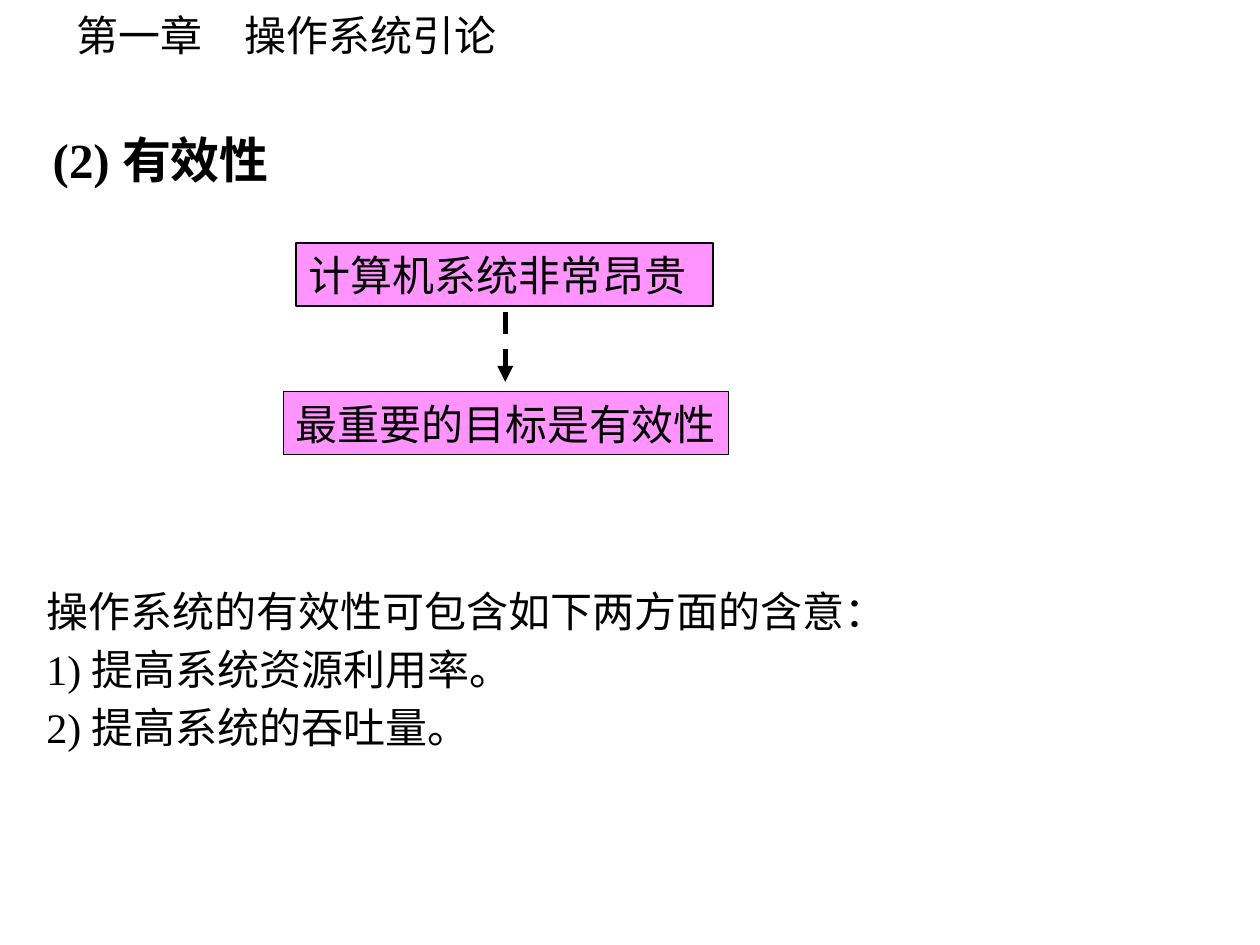
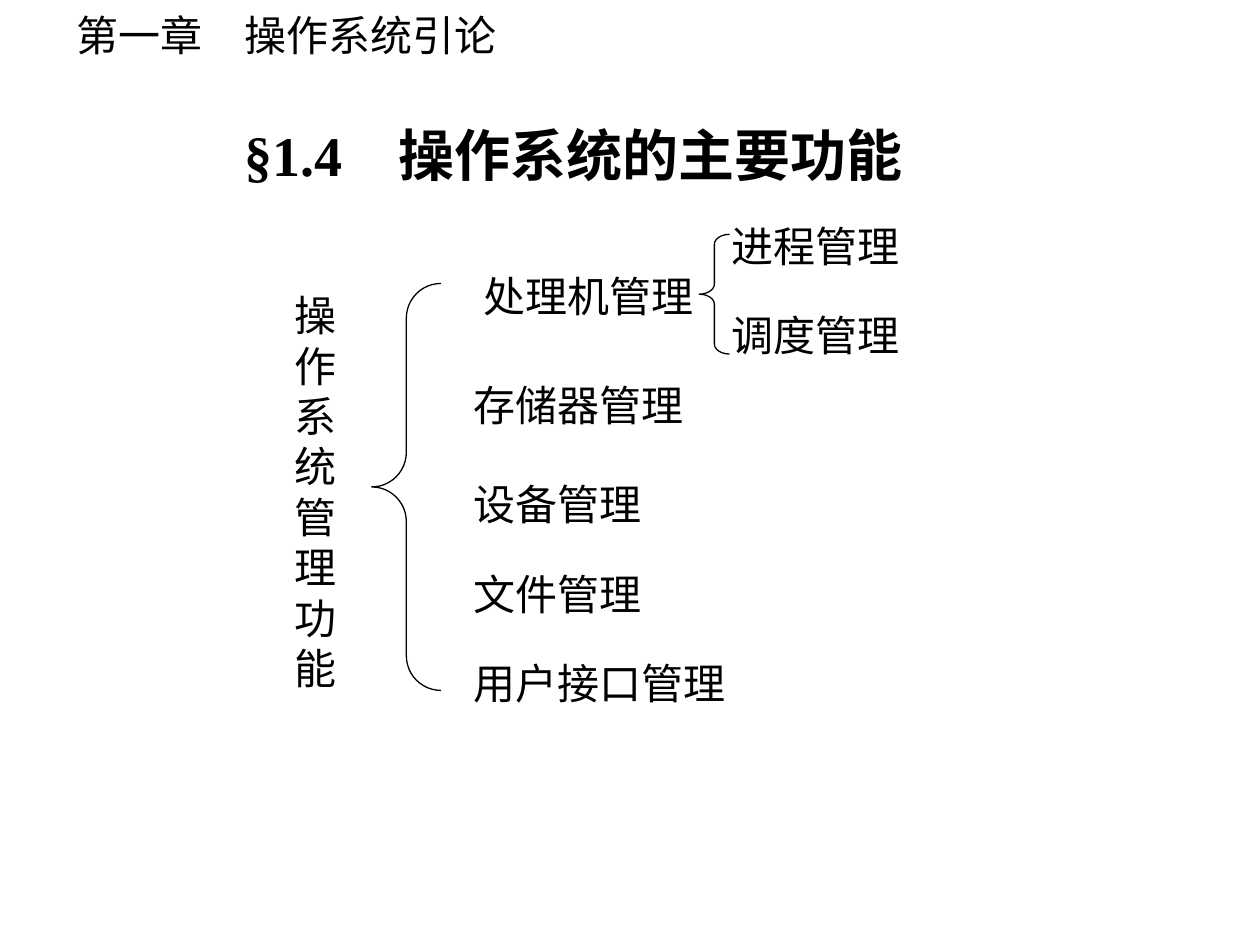
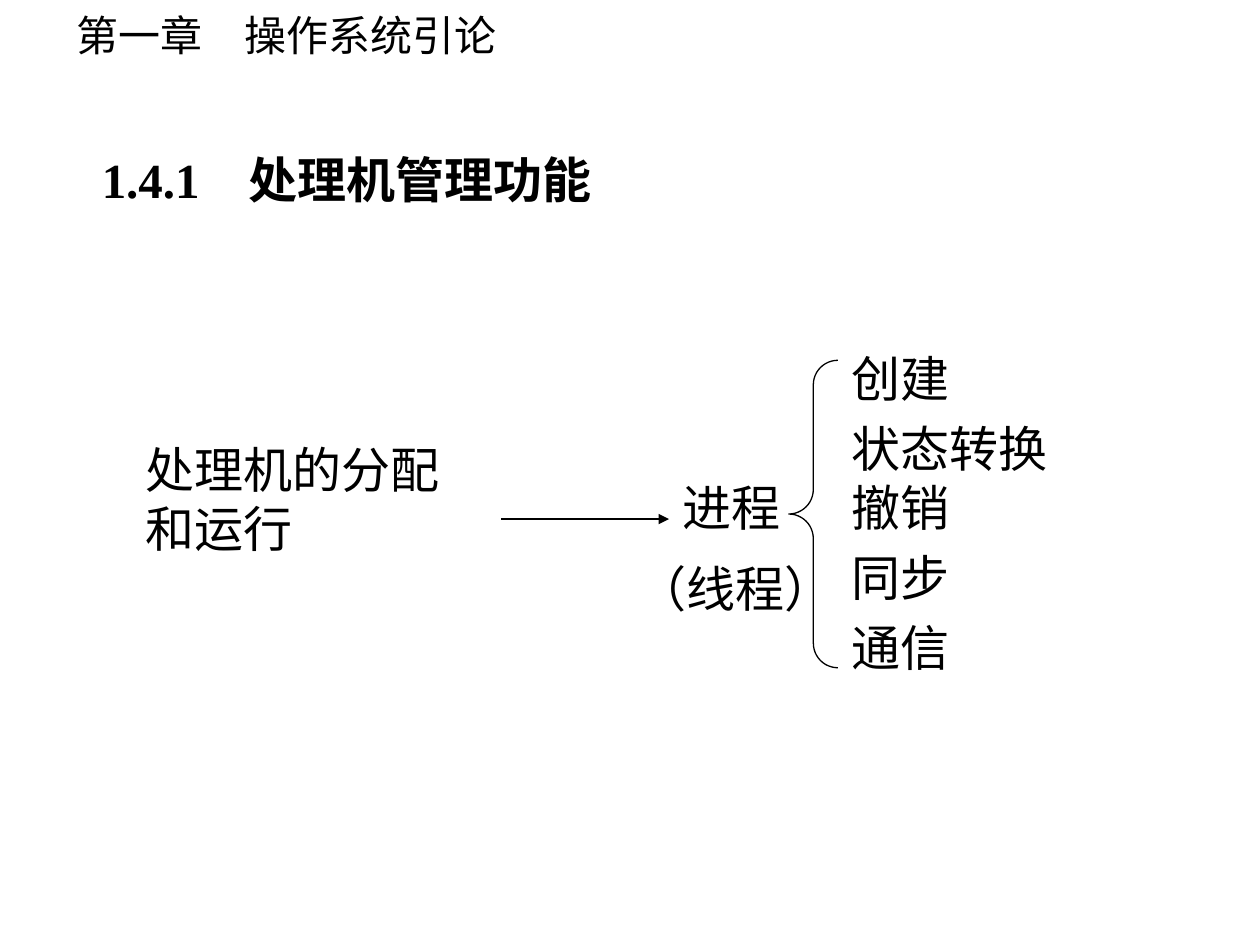
from dataclasses import dataclass

from lxml.etree import SubElement
from pptx import Presentation
from pptx.dml.color import RGBColor
from pptx.enum.dml import MSO_LINE_DASH_STYLE as Dash
from pptx.enum.shapes import MSO_CONNECTOR as Connector
from pptx.enum.shapes import MSO_SHAPE as Preset
from pptx.enum.text import MSO_ANCHOR as Anchor
from pptx.enum.text import MSO_AUTO_SIZE as AutoSize
from pptx.enum.text import PP_ALIGN as Align
from pptx.oxml.ns import qn
from pptx.presentation import Presentation as Deck
from pptx.shapes.base import BaseShape
from pptx.slide import Slide
from pptx.util import Inches, Pt

# Shared style
BLACK = RGBColor(0x00, 0x00, 0x00)
MAGENTA = RGBColor(0xFF, 0x00, 0xFF)
LATIN_FONT = "Times New Roman"
CHINESE_FONT = "Noto Sans CJK SC"
THIN_LINE = 0.75
BOX_OPACITY = 42
BLANK_LAYOUT = 6


@dataclass(frozen=True)
class Label:
    text: str
    left: float
    top: float
    width: float
    height: float = 0.5
    size: int = 24
    bold: bool = False
    wrap: bool = False
    line_spacing: float = 1.0
    font: str = LATIN_FONT


@dataclass(frozen=True)
class Brace:
    left: float
    top: float
    width: float
    height: float
    curve: float = 0.5


@dataclass(frozen=True)
class Arrow:
    start: tuple[float, float]
    end: tuple[float, float]
    width: float = THIN_LINE
    dashed: bool = False


CHAPTER = Label("第一章　操作系统引论", 0.51, 0.03, 3.61, font=CHINESE_FONT)


def write_text(shape: BaseShape, label: Label) -> None:
    frame = shape.text_frame
    frame.text = label.text
    frame.word_wrap = label.wrap
    frame.auto_size = AutoSize.SHAPE_TO_FIT_TEXT
    frame.vertical_anchor = Anchor.TOP
    for paragraph in frame.paragraphs:
        paragraph.alignment = Align.LEFT
        paragraph.line_spacing = label.line_spacing
        for run in paragraph.runs:
            run.font.size = Pt(label.size)
            run.font.bold = label.bold
            run.font.color.rgb = BLACK
            run.font.name = label.font
            SubElement(run.font._element, qn("a:ea"), typeface=CHINESE_FONT)


def bounds(item: Label | Brace) -> tuple[int, int, int, int]:
    return Inches(item.left), Inches(item.top), Inches(item.width), Inches(item.height)


def add_label(slide: Slide, label: Label) -> None:
    write_text(slide.shapes.add_textbox(*bounds(label)), label)


def add_outlined(slide: Slide, preset: Preset, item: Label | Brace) -> BaseShape:
    shape = slide.shapes.add_shape(preset, *bounds(item))
    shape.shadow.inherit = False
    shape.line.color.rgb = BLACK
    shape.line.width = Pt(THIN_LINE)
    return shape


def add_box(slide: Slide, label: Label) -> None:
    shape = add_outlined(slide, Preset.RECTANGLE, label)
    shape.fill.solid()
    shape.fill.fore_color.rgb = MAGENTA
    color = shape._element.spPr.find(qn("a:solidFill")).find(qn("a:srgbClr"))
    SubElement(color, qn("a:alpha"), val=str(BOX_OPACITY * 1000))
    write_text(shape, label)


def add_brace(slide: Slide, brace: Brace) -> None:
    shape = add_outlined(slide, Preset.LEFT_BRACE, brace)
    shape.fill.background()
    shape.adjustments[0] = brace.curve


def add_arrow(slide: Slide, arrow: Arrow) -> None:
    points = [Inches(value) for value in arrow.start + arrow.end]
    connector = slide.shapes.add_connector(Connector.STRAIGHT, *points)
    connector.line.color.rgb = BLACK
    connector.line.width = Pt(arrow.width)
    if arrow.dashed:
        connector.line.dash_style = Dash.DASH
    SubElement(connector.line._get_or_add_ln(), qn("a:tailEnd"), type="triangle")
    SubElement(connector._element.spPr, qn("a:effectLst"))


def add_slide(presentation: Deck, title: Label) -> Slide:
    slide = presentation.slides.add_slide(presentation.slide_layouts[BLANK_LAYOUT])
    add_label(slide, CHAPTER)
    add_label(slide, title)
    return slide


def build_effectiveness(presentation: Deck) -> None:
    title = Label("(2) 有效性", 0.32, 0.91, 2.01, 0.64, 28, bold=True, line_spacing=1.15)
    slide = add_slide(presentation, title)
    add_box(slide, Label("计算机系统非常昂贵", 2.35, 1.93, 3.31, wrap=True))
    add_box(slide, Label("最重要的目标是有效性", 2.25, 3.11, 3.53))
    add_arrow(slide, Arrow((4.01, 2.48), (4.01, 3.03), width=3, dashed=True))
    meanings = (
        "操作系统的有效性可包含如下两方面的含意：\n"
        "1) 提高系统资源利用率。\n"
        "2) 提高系统的吞吐量。"
    )
    add_label(slide, Label(meanings, 0.27, 4.54, 9.17, 1.48, wrap=True, line_spacing=1.15))


def build_main_functions(presentation: Deck) -> None:
    title = Label("§1.4　操作系统的主要功能", 1.84, 0.91, 5.63, 0.64, 32, bold=True)
    slide = add_slide(presentation, title)
    # One character per line in the narrow box
    add_label(slide, Label("操作系统管理功能", 2.24, 2.25, 0.63, 3.3, wrap=True))
    add_brace(slide, Brace(2.95, 2.25, 0.55, 3.23))
    functions = [
        ("处理机管理", 3.74, 2.1),
        ("存储器管理", 3.66, 2.96),
        ("设备管理", 3.66, 3.75),
        ("文件管理", 3.66, 4.46),
        ("用户接口管理", 3.66, 5.17),
        ("进程管理", 5.71, 1.7),
        ("调度管理", 5.71, 2.41),
    ]
    for text, left, top in functions:
        add_label(slide, Label(text, left, top, 2.36, wrap=True))
    add_brace(slide, Brace(5.55, 1.86, 0.24, 0.95, curve=0.33))


def build_processor_management(presentation: Deck) -> None:
    title = Label(
        "1.4.1　处理机管理功能", 0.71, 1, 4.3, 0.71, 28, bold=True, wrap=True, line_spacing=1.3
    )
    slide = add_slide(presentation, title)
    add_label(slide, Label("处理机的分配和运行", 1.06, 3.44, 2.76, 1.04, 28, wrap=True))
    add_arrow(slide, Arrow((3.98, 4.12), (5.31, 4.12)))
    add_brace(slide, Brace(6.26, 2.86, 0.39, 2.44))
    # Widths leave a little room so that each term stays on one line
    terms = [
        ("进程", 5.32, 3.74, 1.02),
        ("（线程）", 4.96, 4.38, 1.8),
        ("创建", 6.66, 2.72, 1.02),
        ("状态转换", 6.66, 3.27, 1.8),
        ("撤销", 6.66, 3.74, 1.02),
        ("同步", 6.66, 4.3, 1.02),
        ("通信", 6.66, 4.85, 1.02),
    ]
    for text, left, top, width in terms:
        add_label(slide, Label(text, left, top, width, 0.57, 28, wrap=True))


def main() -> None:
    presentation = Presentation()
    presentation.slide_width = Inches(10)
    presentation.slide_height = Inches(7.5)
    build_effectiveness(presentation)
    build_main_functions(presentation)
    build_processor_management(presentation)
    presentation.save("out.pptx")


if __name__ == "__main__":
    main()
